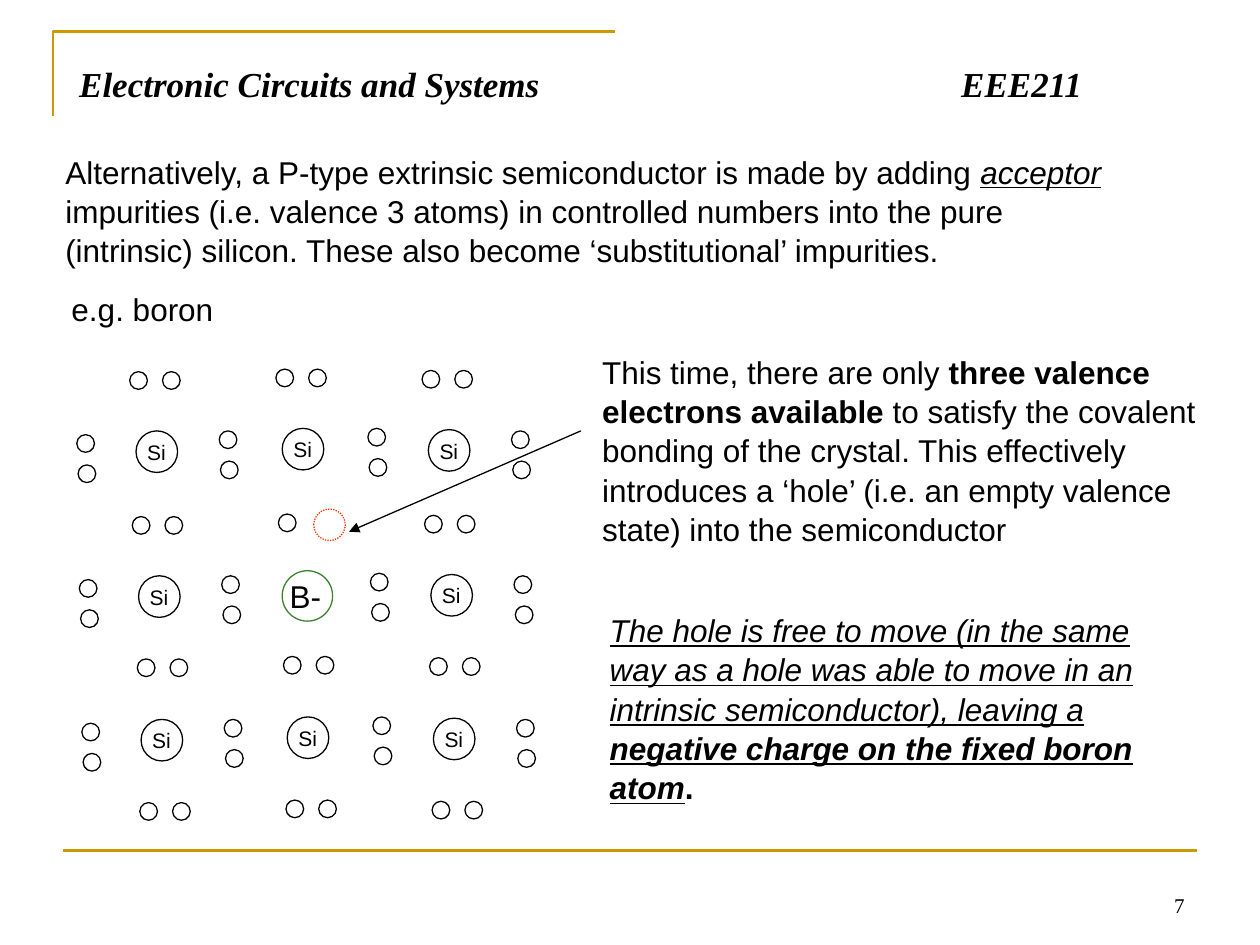
from dataclasses import dataclass
from itertools import product
from typing import Optional

from lxml.etree import SubElement
from pptx import Presentation
from pptx.dml.color import RGBColor
from pptx.enum.dml import MSO_LINE
from pptx.enum.shapes import MSO_CONNECTOR, MSO_SHAPE
from pptx.enum.text import MSO_ANCHOR as Anchor, PP_ALIGN as Align
from pptx.oxml.ns import qn
from pptx.util import Inches, Pt

# The slide is a grid of 100 columns by 75 rows
COLUMNS, ROWS = 100, 75
COLORS = {"ink": "000000", "paper": "FFFFFF", "gold": "CC9900",
          "boron": "3B812F", "hole": "FF3300"}
SANS, SERIF = "Arial", "Times New Roman"


def grid(cells: float) -> int:
    return Inches(cells / 10)


def rgb(name: str) -> RGBColor:
    return RGBColor.from_string(COLORS[name])


@dataclass(frozen=True)
class Run:
    text: str
    bold: bool = False
    italic: bool = False
    underline: bool = False


@dataclass(frozen=True)
class Passage:
    left: float
    top: float
    width: float
    height: float
    runs: tuple[Run, ...]
    size: int = 18
    font: str = SANS
    align: Align = Align.LEFT
    anchor: Anchor = Anchor.TOP
    spacing: float = 1.04


@dataclass(frozen=True)
class Circle:
    left: float
    top: float
    size: float
    line: str = "ink"
    fill: Optional[str] = None
    dash: Optional[MSO_LINE] = None


def add_passage(slide, passage: Passage):
    box = slide.shapes.add_textbox(grid(passage.left), grid(passage.top),
                                   grid(passage.width), grid(passage.height))
    frame = box.text_frame
    frame.word_wrap = True
    frame.vertical_anchor = passage.anchor
    paragraph = frame.paragraphs[0]
    paragraph.alignment = passage.align
    paragraph.line_spacing = passage.spacing
    paragraph.font.size = Pt(passage.size)
    paragraph.font.name = passage.font
    paragraph.font.color.rgb = rgb("ink")
    for part in passage.runs:
        run = paragraph.add_run()
        run.text = part.text
        for style in ("bold", "italic", "underline"):
            if getattr(part, style):
                setattr(run.font, style, True)
    return frame


def add_circle(slide, circle: Circle) -> None:
    oval = slide.shapes.add_shape(MSO_SHAPE.OVAL, grid(circle.left), grid(circle.top),
                                  grid(circle.size), grid(circle.size))
    oval.shadow.inherit = False
    if circle.fill:
        oval.fill.solid()
        oval.fill.fore_color.rgb = rgb(circle.fill)
    else:
        oval.fill.background()
    oval.line.color.rgb = rgb(circle.line)
    oval.line.width = Pt(0.75)
    if circle.dash:
        oval.line.dash_style = circle.dash


def add_electron(slide, left: float, top: float) -> None:
    add_circle(slide, Circle(left, top, 1.4, fill="paper"))


def add_line(slide, start: tuple[float, float], end: tuple[float, float],
             color: str, width: float, arrow: bool = False) -> None:
    line = slide.shapes.add_connector(MSO_CONNECTOR.STRAIGHT,
                                      *map(grid, start + end))
    line.line.color.rgb = rgb(color)
    line.line.width = Pt(width)
    if arrow:
        SubElement(line.line._get_or_add_ln(), qn("a:tailEnd"), type="triangle")
    SubElement(line._element.spPr, qn("a:effectLst"))


def add_frame(slide) -> None:
    builder = slide.shapes.build_freeform(grid(4.2), grid(9.2))
    builder.add_line_segments([(grid(4.2), grid(2.5)), (grid(48.8), grid(2.5))],
                              close=False)
    corner = builder.convert_to_shape()
    corner.shadow.inherit = False
    corner.fill.background()
    corner.line.color.rgb = rgb("gold")
    corner.line.width = Pt(1.5)
    add_line(slide, (5, 67.5), (95, 67.5), "gold", 1.5)


# Crystal lattice: 3 x 3 atoms, each row shifted slightly to the right
ATOM_PITCH, ROW_SHIFT = 11.6, 0.2
ATOM_TOPS = (34.1, 45.6, 57)
COLUMN_DROPS = (0.1, -0.1, 0)
UPRIGHT_PAIRS = ((6.1, 0.4), (17.4, 0.1), (29.2, -0.1), (40.6, 0.1))
LEVEL_PAIRS = ((10.3, 29.4), (10.5, 40.9), (10.9, 52.2), (11.1, 63.6))
BORON_SITE = (1, 1)


def add_lattice(slide) -> None:
    # Electron pairs above and below the atoms; one is missing over boron
    for (row, (left, top)), (column, drop) in product(enumerate(LEVEL_PAIRS),
                                                      enumerate(COLUMN_DROPS)):
        x, y = left + column * ATOM_PITCH, top + drop
        add_electron(slide, x, y)
        if (row, column) != BORON_SITE:
            add_electron(slide, x + 2.6, y)

    # Electron pairs beside the atoms
    for (row, top), (left, drop) in product(enumerate(ATOM_TOPS), UPRIGHT_PAIRS):
        x, y = left + row * ROW_SHIFT, top + drop
        add_electron(slide, x, y)
        add_electron(slide, x + 0.1, y + 2.4)

    # Atoms
    for (row, top), (column, drop) in product(enumerate(ATOM_TOPS),
                                              enumerate(COLUMN_DROPS)):
        if (row, column) == BORON_SITE:
            add_circle(slide, Circle(22.4, 45.3, 4, line="boron"))
            add_passage(slide, Passage(22, 45.2, 5.3, 4, (Run("B-"),)))
            continue
        x, y = 10.8 + column * ATOM_PITCH + row * ROW_SHIFT, top + drop
        add_circle(slide, Circle(x, y, 3.3))
        add_passage(slide, Passage(x - 0.1, y + 0.1, 5.3, 3, (Run("Si"),), size=12))

    # Hole left by the missing electron
    add_circle(slide, Circle(24.9, 40.4, 2.5, line="hole", dash=MSO_LINE.ROUND_DOT))
    add_line(slide, (46.1, 34.2), (27.7, 42.2), "ink", 0.75, arrow=True)


HEADER = Passage(5.3, 4, 89.2, 6.1,
                 (Run("Electronic Circuits and Systems\tEEE211", bold=True, italic=True),),
                 size=20, font=SERIF)
PAGE_NUMBER = Passage(71.7, 68.3, 23.3, 5, (Run("7"),), size=12, font=SERIF,
                      align=Align.RIGHT, anchor=Anchor.BOTTOM, spacing=1)
BODY = (
    Passage(4.2, 11.5, 86.4, 10, (
        Run("Alternatively, a P-type extrinsic semiconductor is made by adding "),
        Run("acceptor", italic=True, underline=True),
        Run(" impurities (i.e. valence 3 atoms) in controlled numbers into the pure "
            "(intrinsic) silicon. These also become ‘substitutional’ impurities."))),
    Passage(4, 22.4, 15.4, 4, (Run(" e.g. boron"),)),
    Passage(46.8, 27.4, 49.9, 16, (
        Run("This time, there are only "),
        Run("three valence electrons available ", bold=True),
        Run("to satisfy the covalent bonding of the crystal. This effectively introduces "
            "a ‘hole’ (i.e. an empty valence state) into the semiconductor"))),
    Passage(47.4, 47.9, 46.5, 16, (
        Run("The hole is free to move (in the same way as a hole was able to move in an "
            "intrinsic semiconductor), leaving a ", italic=True, underline=True),
        Run("negative charge on the fixed boron atom", True, True, True),
        Run(".", bold=True))),
)


def main() -> None:
    deck = Presentation()
    deck.slide_width, deck.slide_height = grid(COLUMNS), grid(ROWS)
    slide = deck.slides.add_slide(deck.slide_layouts[6])

    add_frame(slide)

    # Header, with the course code on a tab stop
    header = add_passage(slide, HEADER)
    header.margin_top = grid(0.8)
    properties = header.paragraphs[0]._p.get_or_add_pPr()
    tabs = SubElement(properties, qn("a:tabLst"))
    SubElement(tabs, qn("a:tab"), pos=str(grid(70)), algn="l")
    properties.insert(properties.index(properties.find(qn("a:defRPr"))), tabs)

    add_lattice(slide)
    for passage in BODY + (PAGE_NUMBER,):
        add_passage(slide, passage)
    deck.save("out.pptx")


if __name__ == "__main__":
    main()
